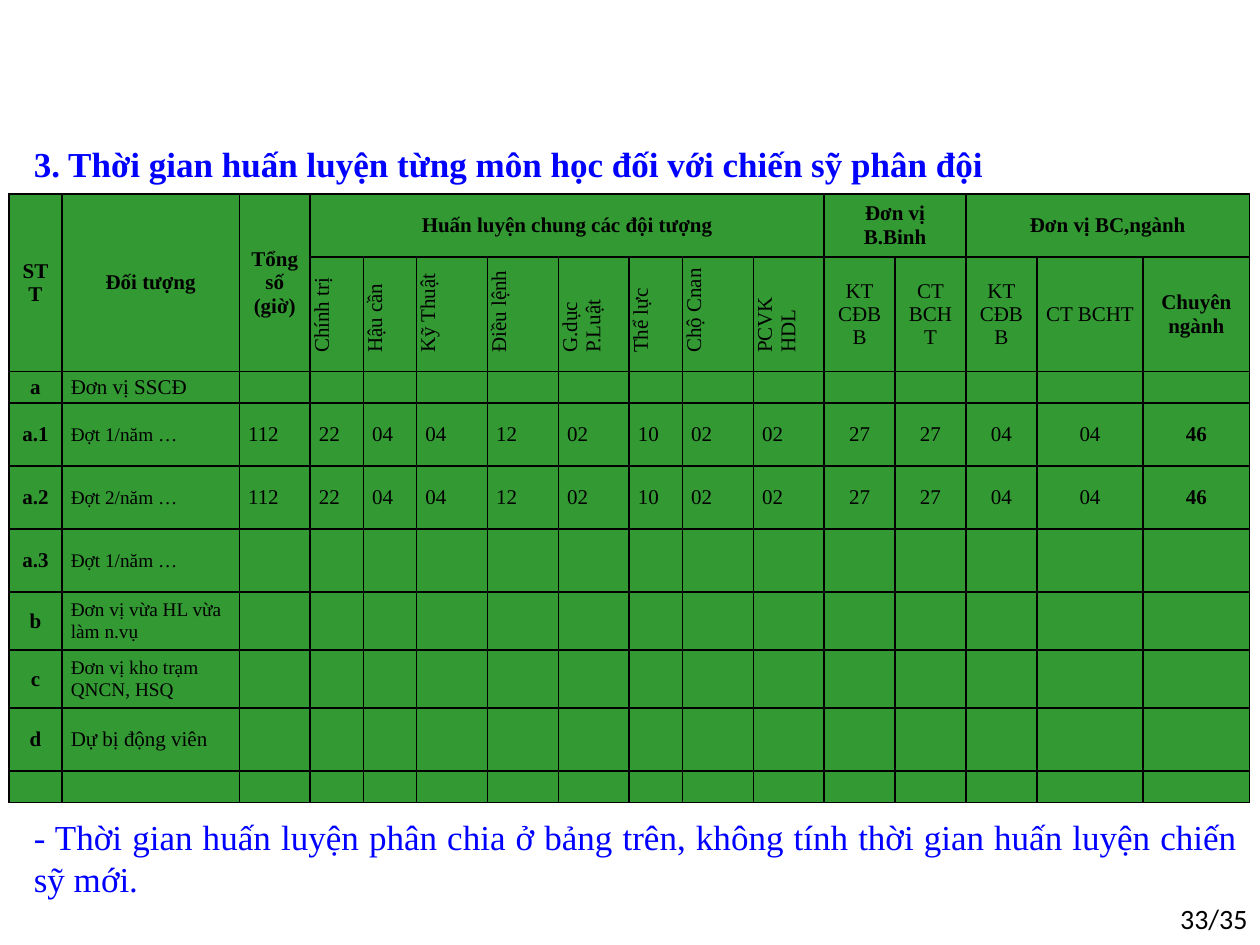
from dataclasses import dataclass

from lxml import etree
from pptx import Presentation
from pptx.dml.color import RGBColor
from pptx.enum.text import MSO_ANCHOR, PP_ALIGN
from pptx.oxml.ns import qn
from pptx.slide import Slide
from pptx.table import Table, _Cell
from pptx.text.text import TextFrame
from pptx.util import Inches, Pt

LEFT, MID, RIGHT, JUST = PP_ALIGN.LEFT, PP_ALIGN.CENTER, PP_ALIGN.RIGHT, PP_ALIGN.JUSTIFY
CENTRE = MSO_ANCHOR.MIDDLE
COLOURS = {"ink": "000000", "blue": "0000FF", "green": "339933"}
SERIF = "Times New Roman"
WIDTH = 9.85
UNITS = [3, 10, 4, 3, 3, 4, 4, 4, 3, 4, 4, 4, 4, 4, 6, 6]
HEIGHTS = [0.5, 0.76, 0.25, 0.5, 0.5, 0.5, 0.46, 0.46, 0.5, 0.25]
HOURS = ["112", "22", "04", "04", "12", "02", "10", "02", "02", "27", "27", "04", "04", "46"]
ROWS = [
    ["STT", "Đối tượng", "Tổng số (giờ)", "Huấn luyện chung các đội tượng", *[""] * 7,
     "Đơn vị B.Binh", "", "Đơn vị BC,ngành"],
    ["", "", "", "Chính trị", "Hậu cần", "Kỹ Thuật", "Điều lệnh", "G.dục\nP.Luật", "Thể lực",
     "Chộ Cnan", "PCVK HDL", "KT\nCĐB\nB", "CT\nBCH\nT", "KT\nCĐBB", "CT BCHT", "Chuyên ngành"],
    ["a", "Đơn vị SSCĐ"],
    ["a.1", "Đợt 1/năm …", *HOURS],
    ["a.2", "Đợt 2/năm …", *HOURS],
    ["a.3", "Đợt 1/năm …"],
    ["b", "Đơn vị vừa HL vừa làm n.vụ"],
    ["c", "Đơn vị kho trạm QNCN, HSQ"],
    ["d", "Dự bị động viên"],
    [],
]
SPANS = [(0, 0, 1, 0), (0, 1, 1, 1), (0, 2, 1, 2), (0, 3, 0, 10), (0, 11, 0, 12), (0, 13, 0, 15)]
TURNED = range(3, 11)
SMALL = range(3, 8)


@dataclass
class Style:
    """Look of a piece of text."""
    size: float
    bold: bool = False
    align: PP_ALIGN = LEFT
    colour: str = "ink"
    font: str = SERIF


@dataclass
class Note:
    """Text box with its place and look."""
    text: str
    left: float
    top: float
    width: float
    height: float
    style: Style


NOTES = [
    Note("33/35", 9, 7.11, 1, 0.4, Style(16, align=RIGHT, font="Calibri")),
    Note("3. Thời gian huấn luyện từng môn học đối với chiến sỹ phân đội",
         0.17, 1.08, 9.75, 0.44, Style(20, bold=True, colour="blue")),
    Note("- Thời gian huấn luyện phân chia ở bảng trên, không tính thời gian huấn luyện "
         "chiến sỹ mới.", 0.17, 6.42, 9.75, 0.77, Style(20, align=JUST, colour="blue")),
]


def write(frame: TextFrame, text: str, style: Style) -> None:
    """Put styled text in a frame."""
    frame.text = text
    for line in frame.paragraphs:
        line.alignment = style.align
        line.font.name = style.font
        line.font.size = Pt(style.size)
        line.font.bold = style.bold
        line.font.color.rgb = RGBColor.from_string(COLOURS[style.colour])


def add_note(slide: Slide, note: Note) -> None:
    """Draw one text box."""
    box = slide.shapes.add_textbox(
        Inches(note.left), Inches(note.top), Inches(note.width), Inches(note.height))
    box.text_frame.word_wrap = True
    write(box.text_frame, note.text, note.style)


def frame_cell(cell: _Cell) -> None:
    """Give a cell its borders, fill and margins."""
    props = cell._tc.get_or_add_tcPr()
    for side in ("lnL", "lnR", "lnT", "lnB"):
        line = etree.SubElement(props, qn(f"a:{side}"), w=str(Pt(1)))
        fill = etree.SubElement(line, qn("a:solidFill"))
        etree.SubElement(fill, qn("a:srgbClr"), val=COLOURS["ink"])
    cell.fill.solid()
    cell.fill.fore_color.rgb = RGBColor.from_string(COLOURS["green"])
    cell.margin_left = cell.margin_right = Inches(0.07)
    cell.margin_top = cell.margin_bottom = Inches(0)
    cell.vertical_anchor = CENTRE


def turn(cell: _Cell) -> None:
    """Run the text of a cell upwards with an indent."""
    cell._tc.get_or_add_tcPr().set("vert", "vert270")
    for line in cell.text_frame.paragraphs:
        line._p.get_or_add_pPr().set("marL", str(Inches(0.08)))


def fill_cell(table: Table, row: int, col: int) -> None:
    """Write and dress one cell by its place."""
    cell = table.cell(row, col)
    turned = row == 1 and col in TURNED
    centred = not turned and (row < 2 or col == 0 or col > 10)
    size = 11 if col == 1 and row in SMALL else 12
    text = ROWS[row][col] if col < len(ROWS[row]) else ""
    frame_cell(cell)
    write(cell.text_frame, text,
          Style(size, bold=row == 0 or col in (0, 15), align=MID if centred else LEFT))
    if turned:
        turn(cell)


def add_hours(slide: Slide) -> None:
    """Draw the table of training hours."""
    table = slide.shapes.add_table(
        len(HEIGHTS), len(UNITS), Inches(0.07), Inches(1.54),
        Inches(WIDTH), Inches(sum(HEIGHTS))).table
    table.first_row = table.horz_banding = False
    for col, units in zip(table.columns, UNITS):
        col.width = Inches(WIDTH * units / sum(UNITS))
    for row, height in zip(table.rows, HEIGHTS):
        row.height = Inches(height)
    for row in range(len(HEIGHTS)):
        for col in range(len(UNITS)):
            fill_cell(table, row, col)
    table.cell(1, 4).text_frame.paragraphs[0].space_before = Pt(13.8)
    for top, left, low, right in SPANS:
        table.cell(top, left).merge(table.cell(low, right))


def main() -> None:
    """Build and save the slide."""
    deck = Presentation()
    deck.slide_width, deck.slide_height = Inches(10), Inches(7.5)
    slide = deck.slides.add_slide(deck.slide_layouts[6])
    add_hours(slide)
    for note in NOTES:
        add_note(slide, note)
    deck.save("out.pptx")


if __name__ == "__main__":
    main()
